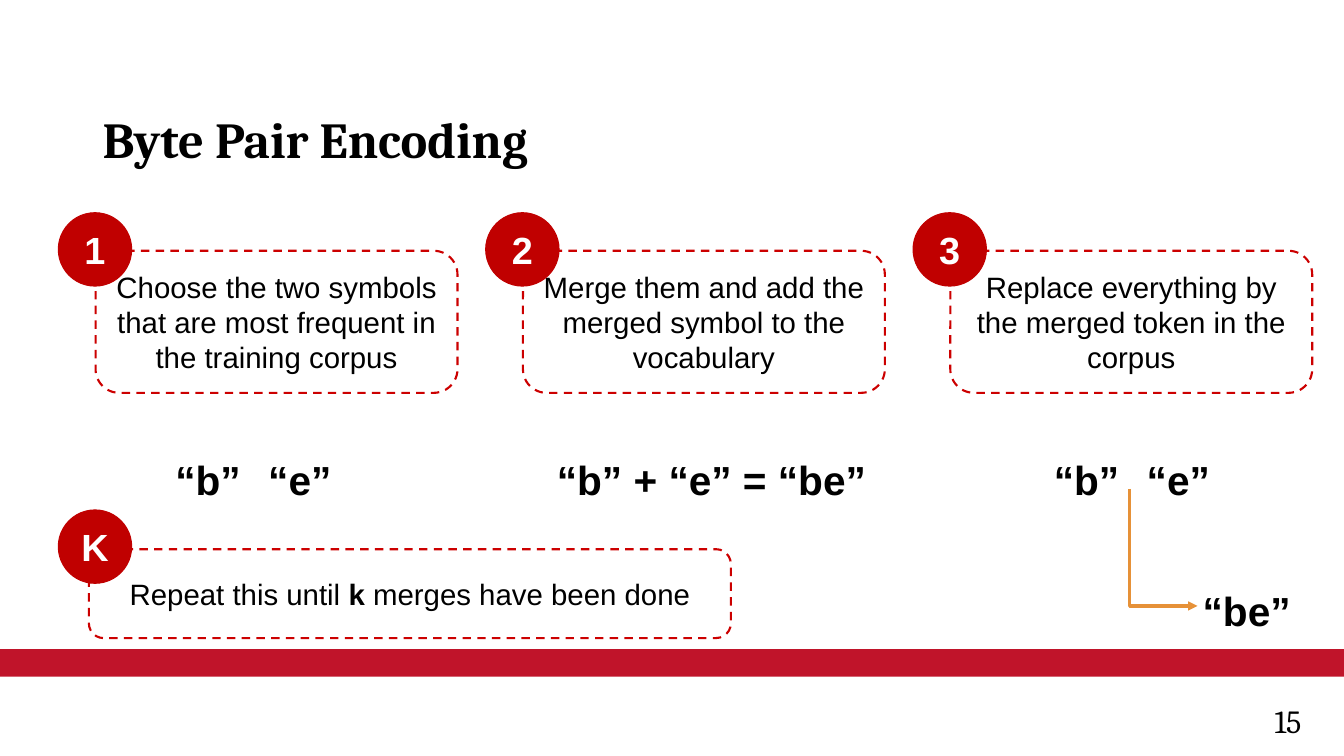
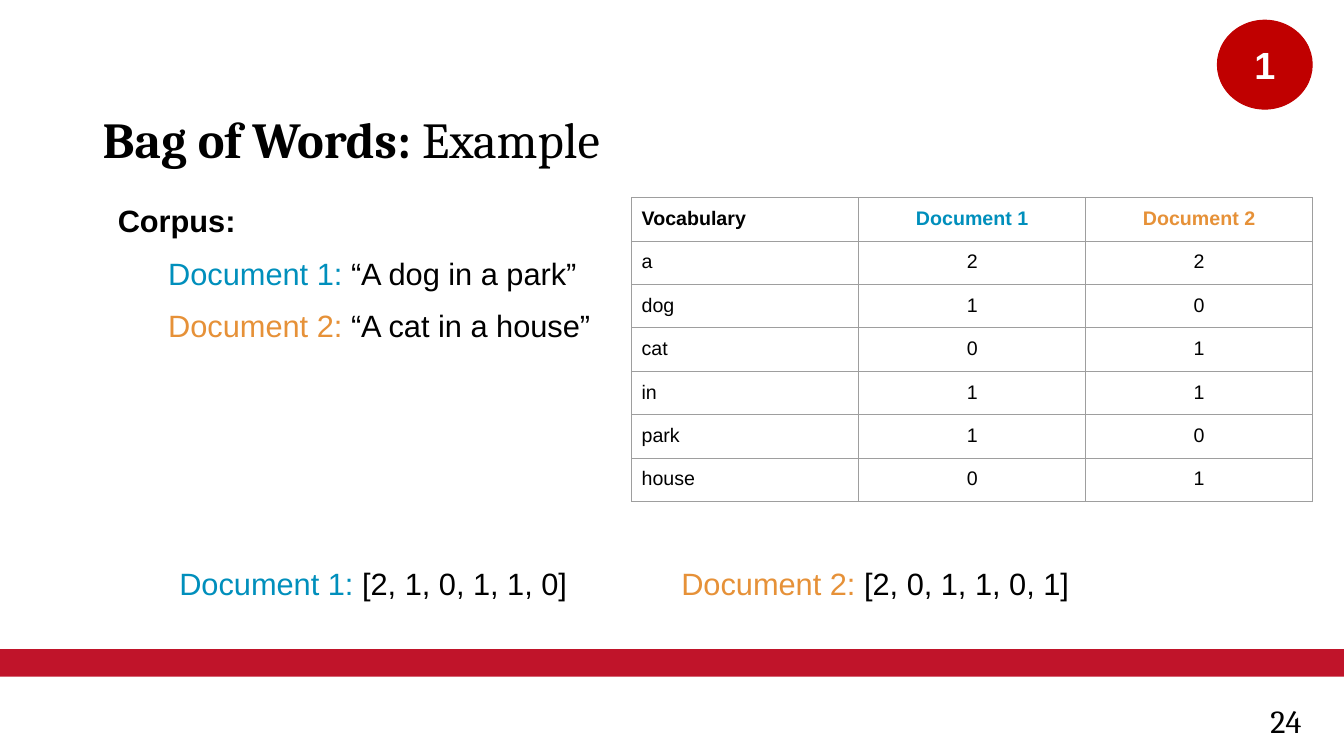
"""Build two lecture slides on byte pair encoding and bag of words."""
from lxml.etree import SubElement
from pptx import Presentation
from pptx.dml.color import RGBColor
from pptx.enum.dml import MSO_LINE
from pptx.enum.shapes import MSO_CONNECTOR, MSO_SHAPE
from pptx.enum.text import MSO_ANCHOR, PP_ALIGN
from pptx.oxml import parse_xml
from pptx.oxml.ns import nsdecls, qn
from pptx.util import Cm, Pt

BLACK, WHITE = "000000", "FFFFFF"
BAND, BADGE, OUTLINE, GRID = "C0142A", "C00000", "CC0000", "9E9E9E"
BLUE, ORANGE = "008FBC", "E69138"
BODY_FONT, TITLE_FONT = "Arial", "Cambria"
CENTER, RIGHT = PP_ALIGN.CENTER, PP_ALIGN.RIGHT
ROUNDED, OVAL = MSO_SHAPE.ROUNDED_RECTANGLE, MSO_SHAPE.OVAL
hex_color = RGBColor.from_string


def write(frame, text, size=22, font=BODY_FONT, color=BLACK, bold=False,
          align=PP_ALIGN.LEFT, spacing=1.0, before=0, after=0, indent=0):
    """Add one paragraph; text is a string or a list of (string, overrides)."""
    paragraph = frame.paragraphs[0] if not frame.text else frame.add_paragraph()
    paragraph.alignment = align
    paragraph.line_spacing = spacing
    paragraph.space_before, paragraph.space_after = Pt(before), Pt(after)
    if indent:
        paragraph._p.get_or_add_pPr().set("marL", str(Cm(indent)))
    for words, overrides in [(text, {})] if isinstance(text, str) else text:
        run = paragraph.add_run()
        run.text = words
        run.font.size, run.font.name = Pt(size), font
        run.font.bold = overrides.get("bold", bold)
        run.font.color.rgb = hex_color(overrides.get("color", color))


def place(shapes, box, kind=None, fill=None, line=None, width=0.75, dash=None,
          anchor=MSO_ANCHOR.MIDDLE, inset=0.25):
    """Add a shape, or a text box when kind is None, and return its text frame."""
    bounds = [Cm(length) for length in box]
    if kind is None:
        shape = shapes.add_textbox(*bounds)
    else:
        shape = shapes.add_shape(kind, *bounds)
        shape.shadow.inherit = False
        if fill:
            shape.fill.solid()
            shape.fill.fore_color.rgb = hex_color(fill)
        else:
            shape.fill.background()
        if line:
            shape.line.color.rgb = hex_color(line)
            shape.line.width = Pt(width)
            shape.line.dash_style = dash
        else:
            shape.line.fill.background()
    frame = shape.text_frame
    frame.word_wrap = True
    frame.vertical_anchor = anchor
    frame.margin_left = frame.margin_right = Cm(0.25)
    frame.margin_top = frame.margin_bottom = Cm(inset)
    return frame


presentation = Presentation()
presentation.slide_width, presentation.slide_height = Cm(33.87), Cm(19.05)
TOP = MSO_ANCHOR.TOP
badge_style = dict(kind=OVAL, fill=BADGE, line=BADGE)
badge_text = dict(size=27, color=WHITE, bold=True, align=CENTER)

slides = []
for title, number in [
    ([("Byte Pair Encoding", {})], "15"),
    ([("Bag of Words: ", {}), ("Example", {"bold": False})], "24"),
]:
    slide = presentation.slides.add_slide(presentation.slide_layouts[6])
    place(slide.shapes, (0, 16.36, 33.87, 0.69), MSO_SHAPE.RECTANGLE, fill=BAND)
    frame = place(slide.shapes, (2.34, 2.46, 29.21, 2.24), inset=0.13)
    write(frame, title, size=36, font=TITLE_FONT, bold=True, spacing=0.9)
    frame = place(slide.shapes, (30.99, 17.65, 2.06, 1.02), anchor=TOP, inset=0.13)
    write(frame, number, size=23, font=TITLE_FONT, align=RIGHT, spacing=0.9)
    slides.append(slide)
encoding_slide, words_slide = slides

STEP_PITCH = 10.85 - 0.08
steps = [
    ("1", "Choose the two symbols that are most frequent in the training corpus"),
    ("2", "Merge them and add the merged symbol to the vocabulary"),
    ("3", "Replace everything by the merged token in the corpus"),
]
cards = [
    (label, text, (2.41 + index * STEP_PITCH, 6.32, 9.12, 3.58),
     (1.47 + index * STEP_PITCH, 5.36))
    for index, (label, text) in enumerate(steps)
]
repeat_text = [("Repeat this until ", {}), ("k ", {"bold": True}), ("merges have been done", {})]
cards.append(("K", repeat_text, (2.24, 13.84, 16.18, 2.24), (1.47, 12.85)))
for label, text, box, corner in cards:
    group = encoding_slide.shapes.add_group_shape()
    frame = place(group.shapes, box, ROUNDED, line=OUTLINE, width=1.5, dash=MSO_LINE.DASH)
    write(frame, text, size=21, align=CENTER)
    write(place(group.shapes, (*corner, 1.85, 1.85), **badge_style), label, **badge_text)

for text, left, top, width, align in [
    ("“b”", 4.17, 11.02, 2.34, PP_ALIGN.LEFT),
    ("“e”", 6.51, 11.02, 2.34, PP_ALIGN.LEFT),
    ("“b” + “e” = “be”", 13.77, 11.02, 8.33, CENTER),
    ("“b”", 26.31, 11.02, 2.34, PP_ALIGN.LEFT),
    ("“e”", 28.65, 11.02, 2.34, PP_ALIGN.LEFT),
    ("“be”", 29.92, 14.33, 3, CENTER),
]:
    frame = place(encoding_slide.shapes, (left, top, width, 1.9), anchor=TOP)
    write(frame, text, size=29, bold=True, align=align, spacing=1.15)

arrow = encoding_slide.shapes.add_connector(
    MSO_CONNECTOR.ELBOW, Cm(28.47), Cm(12.32), Cm(30.18), Cm(15.27))
arrow.line.color.rgb = hex_color(ORANGE)
arrow.line.width = Pt(2.25)
SubElement(arrow.line._get_or_add_ln(), qn("a:tailEnd"), type="triangle")
properties = arrow._element.spPr
SubElement(properties, qn("a:effectLst"))
adjustments = properties.find(qn("a:prstGeom")).get_or_add_avLst()
SubElement(adjustments, qn("a:gd"), name="adj1", fmla="val 0")

documents = [
    ("Document 1", BLUE, "“A dog in a park”", [2, 1, 0, 1, 1, 0]),
    ("Document 2", ORANGE, "“A cat in a house”", [2, 0, 1, 1, 0, 1]),
]
vocabulary = ["a", "dog", "cat", "in", "park", "house"]

corpus = place(words_slide.shapes, (2.72, 4.7, 13, 4.5), anchor=TOP)
write(corpus, "Corpus:", bold=True, spacing=1.15)
for index, (name, color, sentence, counts) in enumerate(documents):
    write(corpus, [(f"{name}:", {"color": color}), (f" {sentence}", {})],
          before=11, indent=1.27)
    frame = place(words_slide.shapes, (3 + index * 12.65, 13.97, 12.6, 1.45), anchor=TOP)
    write(frame, [(f"{name}:", {"color": color}), (f" {counts}", {})], indent=1.27)

rows = [["Vocabulary"] + [document[0] for document in documents]]
for index, word in enumerate(vocabulary):
    rows.append([word] + [str(document[3][index]) for document in documents])
header_colors = [BLACK] + [document[1] for document in documents]

table = words_slide.shapes.add_table(
    len(rows), 3, Cm(15.92), Cm(4.98), Cm(17.16), Cm(1.07 * len(rows))).table
table.first_row = table.horz_banding = False
for column in table.columns:
    column.width = Cm(5.72)
for row_index, values in enumerate(rows):
    table.rows[row_index].height = Cm(1.07)
    for column_index, value in enumerate(values):
        cell = table.cell(row_index, column_index)
        cell.margin_left = cell.margin_right = Cm(0.25)
        cell.margin_top = cell.margin_bottom = Cm(0.25)
        cell.fill.background()
        header = row_index == 0
        write(cell.text_frame, value, size=14, bold=header,
              color=header_colors[column_index] if header else BLACK,
              align=CENTER if column_index else PP_ALIGN.LEFT)
        for position, side in enumerate(["lnL", "lnR", "lnT", "lnB"]):
            border = parse_xml(
                f'<a:{side} {nsdecls("a")} w="{Pt(0.75)}"><a:solidFill>'
                f'<a:srgbClr val="{GRID}"/></a:solidFill></a:{side}>')
            cell._tc.get_or_add_tcPr().insert(position, border)

write(place(words_slide.shapes, (30.68, 0.51, 2.39, 2.24), **badge_style), "1", **badge_text)

presentation.save("out.pptx")
